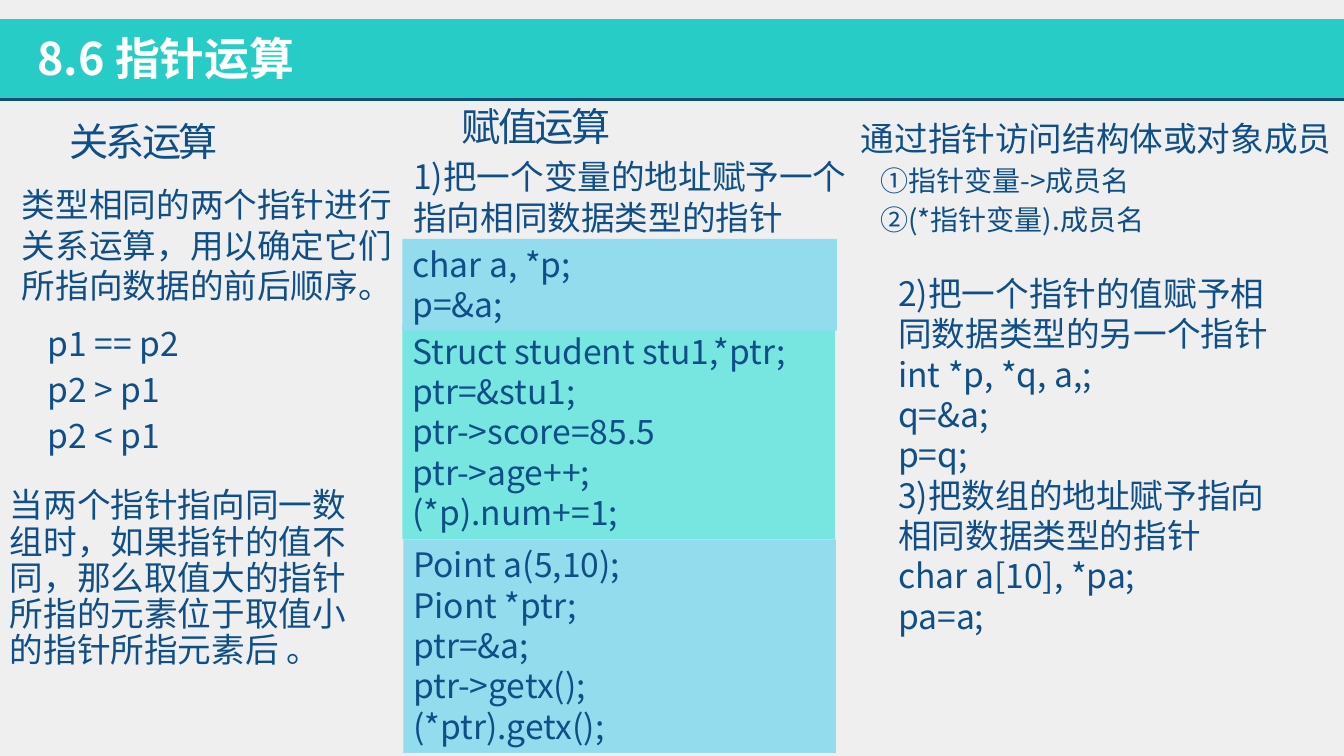
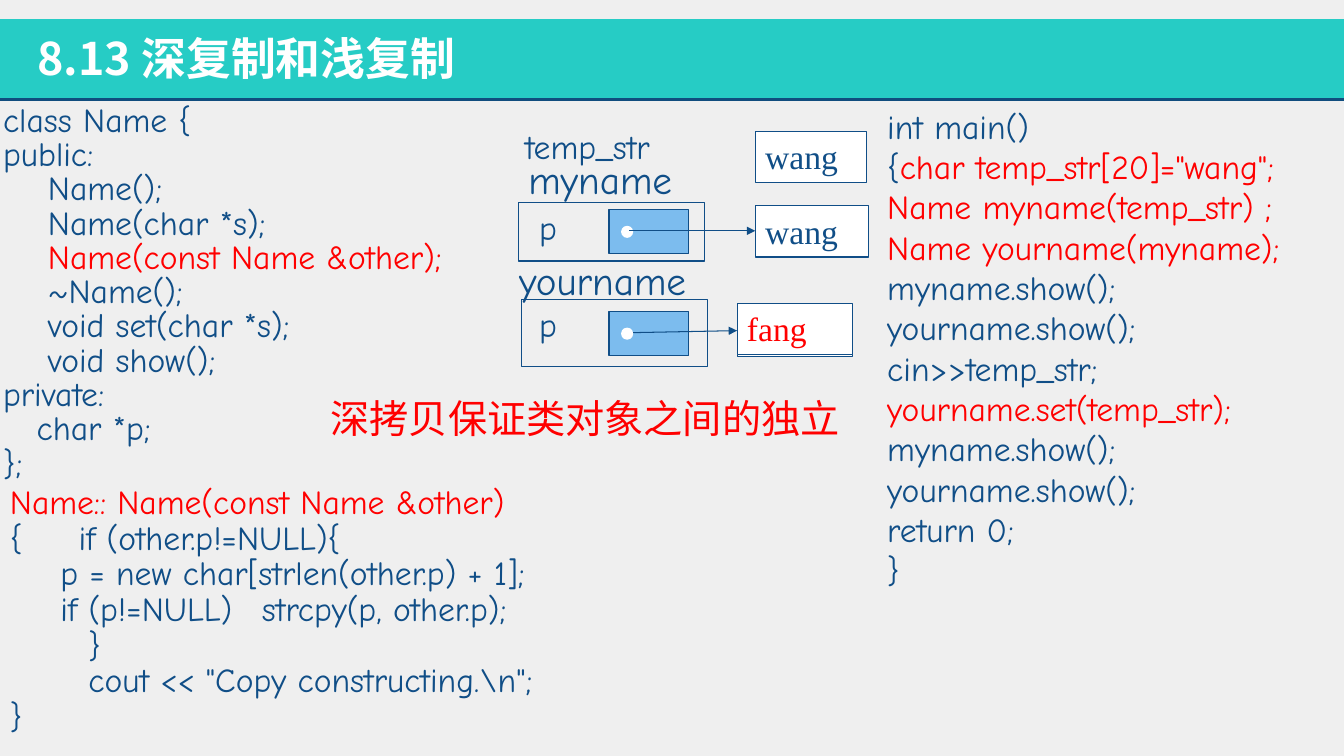
from lxml import etree
from pptx import Presentation
from pptx import util as u
from pptx.dml.color import RGBColor
from pptx.enum import shapes, text
from pptx.oxml.ns import qn

PALE = RGBColor(0xEF, 0xEF, 0xEF)
TEAL = RGBColor(0x26, 0xCC, 0xC5)
RULE = RGBColor(0x10, 0x4D, 0x7E)
NAVY = RGBColor(0x10, 0x4E, 0x87)
WHITE = RGBColor(0xFF, 0xFF, 0xFF)
RED = RGBColor(0xFF, 0x00, 0x00)
AQUA = RGBColor(0x77, 0xE6, 0xE1)
SKY = RGBColor(0x92, 0xDC, 0xEE)
BLUE = RGBColor(0x7C, 0xBC, 0xEE)
SANS, COMIC, SERIF = "Noto Sans CJK JP", "Comic Neue", "Times New Roman"
Inches, Pt = u.Inches, u.Pt
RECTANGLE, OVAL = shapes.MSO_SHAPE.RECTANGLE, shapes.MSO_SHAPE.OVAL


def write(box, lines, size=24, face=SANS, colour=NAVY, bold=False, leading=1.0,
          before=0, indent=0, side=0.1, tabs=(), tracking=0):
    """Fill a box with lines; a line is a string or a list of (text, colour) spans."""
    frame = box.text_frame
    frame.word_wrap = True
    frame.auto_size = text.MSO_AUTO_SIZE.NONE
    frame.vertical_anchor = text.MSO_ANCHOR.TOP
    frame.margin_left = frame.margin_right = Inches(side)
    frame.margin_top = frame.margin_bottom = Inches(0.05)
    for number, line in enumerate(lines):
        para = frame.add_paragraph() if number else frame.paragraphs[0]
        props = para._p.get_or_add_pPr()
        props.set("marL", str(Inches(indent)))
        props.set("indent", "0")
        etree.SubElement(props, qn("a:buNone"))
        if tabs:
            stops = etree.SubElement(props, qn("a:tabLst"))
            for stop in tabs:
                etree.SubElement(stops, qn("a:tab"), pos=str(Inches(stop)), algn="l")
        para.alignment = text.PP_ALIGN.LEFT
        para.line_spacing = leading
        para.space_before = Pt(before if number else 0)
        for words, tint in [(line, colour)] if isinstance(line, str) else line:
            span = para.add_run()
            span.text = words
            span.font.size, span.font.bold, span.font.name = Pt(size), bold, face
            span.font.color.rgb = tint
            run_props = span._r.get_or_add_rPr()
            etree.SubElement(run_props, qn("a:ea"), typeface=SANS)
            if tracking:
                run_props.set("spc", str(int(tracking * 100)))


def draw(page, kind, place, fill=None, line=None, weight=0.75):
    """Add a preset shape, or a straight line when kind is None (place is then x1, y1, x2, y2)."""
    place = [Inches(value) for value in place]
    if kind is None:
        shape = page.shapes.add_connector(shapes.MSO_CONNECTOR.STRAIGHT, *place)
        shape.line.color.rgb, shape.line.width = line, Pt(weight)
        etree.SubElement(shape._element.spPr, qn("a:effectLst"))
        return shape
    shape = page.shapes.add_shape(kind, *place)
    shape.shadow.inherit = False
    if fill is None:
        shape.fill.background()
    else:
        shape.fill.solid()
        shape.fill.fore_color.rgb = fill
    if line is None:
        shape.line.fill.background()
    else:
        shape.line.color.rgb, shape.line.width = line, Pt(weight)
    return shape


deck = Presentation()
deck.slide_width, deck.slide_height = Inches(13.33), Inches(7.5)
background = deck.slide_master.background.fill
background.solid()
background.fore_color.rgb = PALE
layout = deck.slide_layouts[1]
layout_title = layout.placeholders[0]
layout_title.left, layout_title.top = Inches(0.27), Inches(0.25)
layout_title.width, layout_title.height = Inches(8.78), Inches(0.64)

pages = []
for title, body_place in [("8.6 指针运算", (0.37, 3.15, 2.37, 1.42)),
                          ("8.13 深复制和浅复制", (0.03, 0.99, 4.66, 3.88))]:
    page = deck.slides.add_slide(layout)
    write(page.shapes.title, [title], size=32, colour=WHITE, bold=True)
    body = page.placeholders[1]
    body.left, body.top, body.width, body.height = [Inches(value) for value in body_place]
    pages.append(page)
operations, copying = pages

# The title band and its rule belong to the layout
band = draw(operations, RECTANGLE, (0, 0.19, 13.33, 0.8), TEAL)
rule = draw(operations, None, (0, 0.99, 13.33, 0.99), line=RULE, weight=2)
for position, part in enumerate([band, rule], start=2):
    layout.shapes.element.insert(position, part._element)

# Pointer operations
write(operations.placeholders[1], ["p1 == p2", "p2 > p1", "p2 < p1"], before=4)
for place, heading in [((0.12, 1.11, 2.17, 0.57), "关系运算"),
                       ((4.01, 0.97, 2.17, 0.57), "赋值运算")]:
    box = operations.shapes.add_textbox(*[Inches(value) for value in place])
    write(box, [heading], size=28, face=COMIC, indent=0.47, tracking=-1.9)

notes = [
    ((0.12, 1.78, 3.9, 1.31), 1.0,
     ["类型相同的两个指针进行关系运算，用以确定它们所指向数据的前后顺序。"]),
    ((0, 4.8, 3.66, 1.93), 0.9,
     ["当两个指针指向同一数组时，如果指针的值不同，那么取值大的指针所指的元素位于取值小的指针所指元素后 。"]),
    ((4, 1.5, 4.67, 0.91), 1.0, ["1)把一个变量的地址赋予一个指向相同数据类型的指针"]),
    ((8.81, 2.66, 4.15, 3.74), 1.0,
     ["2)把一个指针的值赋予相同数据类型的另一个指针", "int *p, *q, a,;", "q=&a;", "p=q;",
      "3)把数组的地址赋予指向相同数据类型的指针", "char a[10], *pa;", "pa=a;"]),
    ((8.44, 1.04, 4.9, 0.55), 1.2, ["通过指针访问结构体或对象成员"]),
]
for place, leading, lines in notes:
    box = operations.shapes.add_textbox(*[Inches(value) for value in place])
    write(box, lines, leading=leading)
members = operations.shapes.add_textbox(Inches(8.44), Inches(1.57), Inches(4.9), Inches(0.86))
write(members, ["①指针变量->成员名", "②(*指针变量).成员名"], size=20, before=4, indent=0.19)

code_blocks = [
    ((3.99, 3.23, 4.29, 2.12), AQUA,
     ["Struct student stu1,*ptr;", "ptr=&stu1;", "ptr->score=85.5", "ptr->age++;", "(*p).num+=1;"]),
    ((4, 5.35, 4.29, 2.12), SKY,
     ["Point a(5,10);", "Piont *ptr;", "ptr=&a;", "ptr->getx();", "(*ptr).getx();"]),
    ((3.99, 2.37, 4.31, 0.91), SKY, ["char a, *p;", "p=&a;"]),
]
for place, fill, lines in code_blocks:
    write(draw(operations, RECTANGLE, place, fill), lines)

# Deep and shallow copying
write(copying.placeholders[1], [
    "class Name {",
    "public:",
    "    Name();",
    "    Name(char *s);",
    [("    Name(const Name &other);", RED)],
    "    ~Name();",
    "    void set(char *s);",
    "    void show();",
    "private:",
    "   char *p;",
    "};",
], face=COMIC, leading=0.85, side=0)

constructor = copying.shapes.add_textbox(0, Inches(4.8), Inches(6.97), Inches(2.61))
write(constructor, [
    [("Name:: Name(const Name &other)", RED)],
    "{     if (other.p!=NULL){",
    "\tp = new char[strlen(other.p) + 1];",
    "\tif (p!=NULL)\tstrcpy(p, other.p);",
    "       }",
    "       cout << \"Copy constructing.\\n\";",
    "}",
], face=COMIC, leading=0.8, before=2.4, tabs=(0.67, 2.67))

program = copying.shapes.add_textbox(Inches(8.8), Inches(1), Inches(4.53), Inches(5.76))
write(program, [
    "int main()",
    [("{", NAVY), ("char temp_str[20]=\"wang\";", RED)],
    [("Name myname(temp_str) ;", RED)],
    [("Name yourname(myname);", RED)],
    "myname.show();",
    "yourname.show();",
    "cin>>temp_str;",
    [("yourname.set(temp_str);", RED)],
    "myname.show();",
    "yourname.show();",
    "return 0;",
    "}",
], face=COMIC, side=0)

# Each object holds a pointer cell; the lower value box lies over an earlier one
draw(copying, RECTANGLE, (7.31, 3.03, 1.15, 0.51), WHITE, NAVY)
for place, value, colour in [((7.49, 1.3, 1.1, 0.51), "wang", NAVY),
                             ((7.49, 2.04, 1.12, 0.51), "wang", NAVY),
                             ((7.31, 3.01, 1.15, 0.51), "fang", RED)]:
    value_box = draw(copying, RECTANGLE, place, WHITE, NAVY)
    write(value_box, [value], face=SERIF, colour=colour)

for frame_place, cell_top, arrow in [
        ((5.14, 2.01, 1.85, 0.58), 2.08, (6.24, 2.29, 7.49, 2.29)),
        ((5.17, 2.97, 1.85, 0.67), 3.09, (6.28, 3.3, 7.31, 3.28))]:
    draw(copying, RECTANGLE, frame_place, line=NAVY)
    draw(copying, RECTANGLE, (6.04, cell_top, 0.79, 0.44), BLUE, NAVY)
    draw(copying, OVAL, (6.16, cell_top + 0.16, 0.12, 0.12), WHITE)
    pointer = draw(copying, None, arrow, line=NAVY)
    etree.SubElement(pointer.get_or_add_ln(), qn("a:tailEnd"), type="triangle")

labels = [
    ((5.11, 1.2, 1.68, 0.5), "temp_str", 24, 0.1),
    ((5.25, 2, 0.87, 0.5), "p", 24, 0.1),
    ((5.25, 2.97, 0.87, 0.5), "p", 24, 0.1),
    ((5.24, 1.49, 1.55, 0.57), "myname", 28, 0),
    ((5.05, 2.49, 2.13, 0.57), "yourname", 28, 0.1),
]
for place, label, size, side in labels:
    box = copying.shapes.add_textbox(*[Inches(value) for value in place])
    write(box, [label], size=size, face=COMIC, side=side)

conclusion = copying.shapes.add_textbox(Inches(3.18), Inches(3.92), Inches(5.41), Inches(0.54))
write(conclusion, ["深拷贝保证类对象之间的独立"], size=28, colour=RED, leading=0.9)

deck.save("out.pptx")
